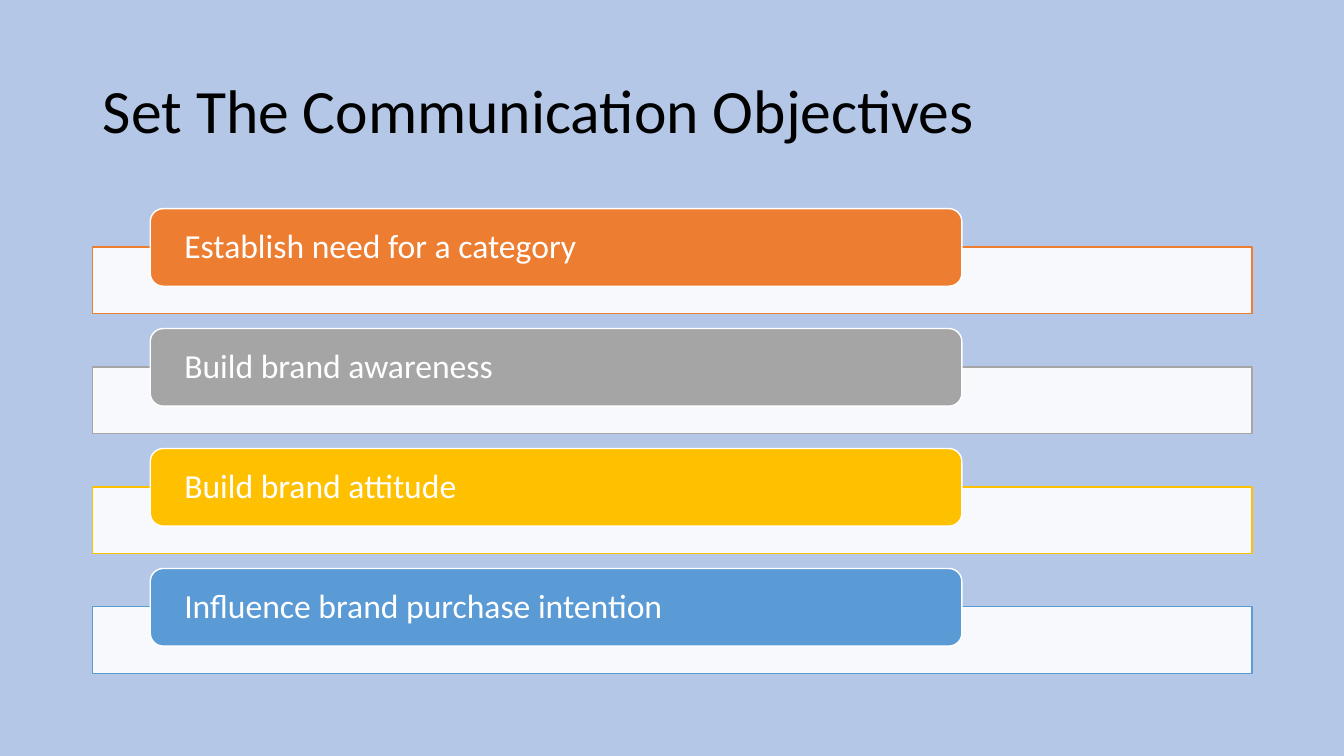
import pptx
import pptx.util
import pptx.dml.color
import pptx.enum.shapes
import pptx.enum.text
import pptx.oxml.ns
import lxml.etree
from dataclasses import dataclass

Inches = pptx.util.Inches
Pt = pptx.util.Pt
Shapes = pptx.enum.shapes.MSO_SHAPE


@dataclass(frozen=True)
class Theme:
    font: str = "Calibri"
    background: str = "B4C7E7"
    title: str = "000000"
    white: str = "FFFFFF"
    accents: tuple = ("ED7D31", "A5A5A5", "FFC000", "5B9BD5")
    title_size: int = 44
    label_size: int = 24
    line_width: int = 1
    bar_opacity: int = 90


def rgb(color):
    return pptx.dml.color.RGBColor.from_string(color)


def apply(target, values):
    for name, value in values.items():
        setattr(target, name, value)


class SlideBuilder:
    def __init__(self, deck, theme):
        self.theme = theme
        self.page = deck.slides.add_slide(deck.slide_layouts[5])
        fill = self.page.background.fill
        fill.solid()
        fill.fore_color.rgb = rgb(theme.background)

    def place(self, shape, left, top, width, height):
        apply(shape, {"left": Inches(left), "top": Inches(top),
                      "width": Inches(width), "height": Inches(height)})

    def set_text(self, shape, text, size, color, frame_format):
        frame = shape.text_frame
        apply(frame, {"word_wrap": True,
                      "vertical_anchor": pptx.enum.text.MSO_ANCHOR.MIDDLE,
                      **frame_format})
        para = frame.paragraphs[0]
        apply(para, {"alignment": pptx.enum.text.PP_ALIGN.LEFT, "line_spacing": 0.9})
        span = para.add_run()
        span.text = text
        apply(span.font, {"name": self.theme.font, "size": Pt(size)})
        span.font.color.rgb = rgb(color)

    def title(self, text, *bounds):
        heading = self.page.shapes.title
        self.place(heading, *bounds)
        self.set_text(heading, text, self.theme.title_size, self.theme.title,
                      {"auto_size": pptx.enum.text.MSO_AUTO_SIZE.NONE})

    def box(self, kind, bounds, fill, line):
        shape = self.page.shapes.add_shape(kind, *map(Inches, bounds))
        shape.shadow.inherit = False
        shape.fill.solid()
        shape.fill.fore_color.rgb = rgb(fill)
        shape.line.color.rgb = rgb(line)
        shape.line.width = Pt(self.theme.line_width)
        return shape

    def bar(self, bounds, accent):
        bar = self.box(Shapes.RECTANGLE, bounds, self.theme.white, accent)
        color = bar.element.find(".//" + pptx.oxml.ns.qn("a:srgbClr"))
        lxml.etree.SubElement(color, pptx.oxml.ns.qn("a:alpha"),
                              val=str(self.theme.bar_opacity * 1000))

    def label(self, text, bounds, accent):
        label = self.box(Shapes.ROUNDED_RECTANGLE, bounds, accent, self.theme.white)
        self.set_text(label, text, self.theme.label_size, self.theme.white,
                      {"margin_left": Inches(0.3), "margin_right": Inches(0.3),
                       "margin_top": 0, "margin_bottom": 0})


def main():
    deck = pptx.Presentation()
    apply(deck, {"slide_width": Inches(13.33), "slide_height": Inches(7.5)})
    theme = Theme()
    slide = SlideBuilder(deck, theme)
    slide.title("Set The Communication Objectives", 0.92, 0.4, 11.5, 1.45)

    objectives = ("Establish need for a category", "Build brand awareness",
                  "Build brand attitude", "Influence brand purchase intention")
    first_top, pitch, bar_drop = 2.07, 1.19, 0.38
    for row, (objective, accent) in enumerate(zip(objectives, theme.accents)):
        top = first_top + row * pitch
        slide.bar((0.92, top + bar_drop, 11.5, 0.66), accent)
        slide.label(objective, (1.49, top, 8.05, 0.77), accent)

    deck.save("out.pptx")


if __name__ == "__main__":
    main()
